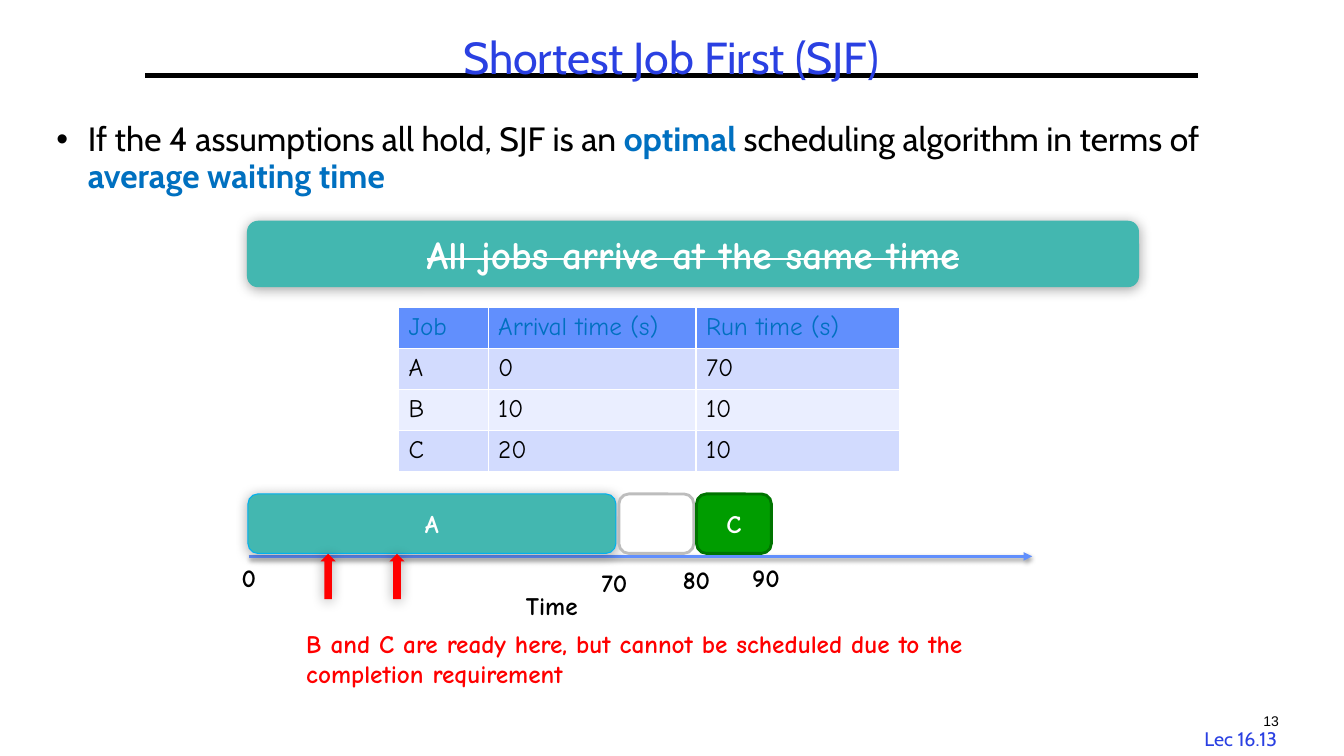
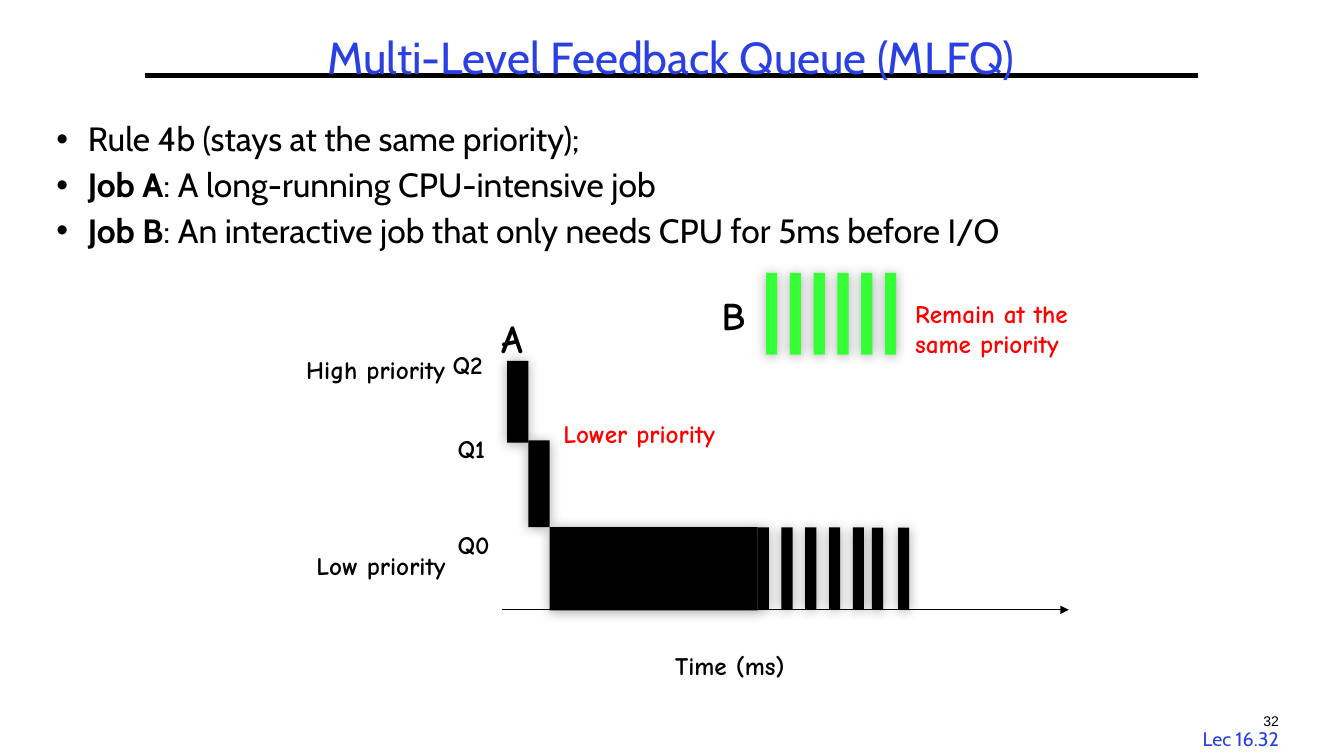
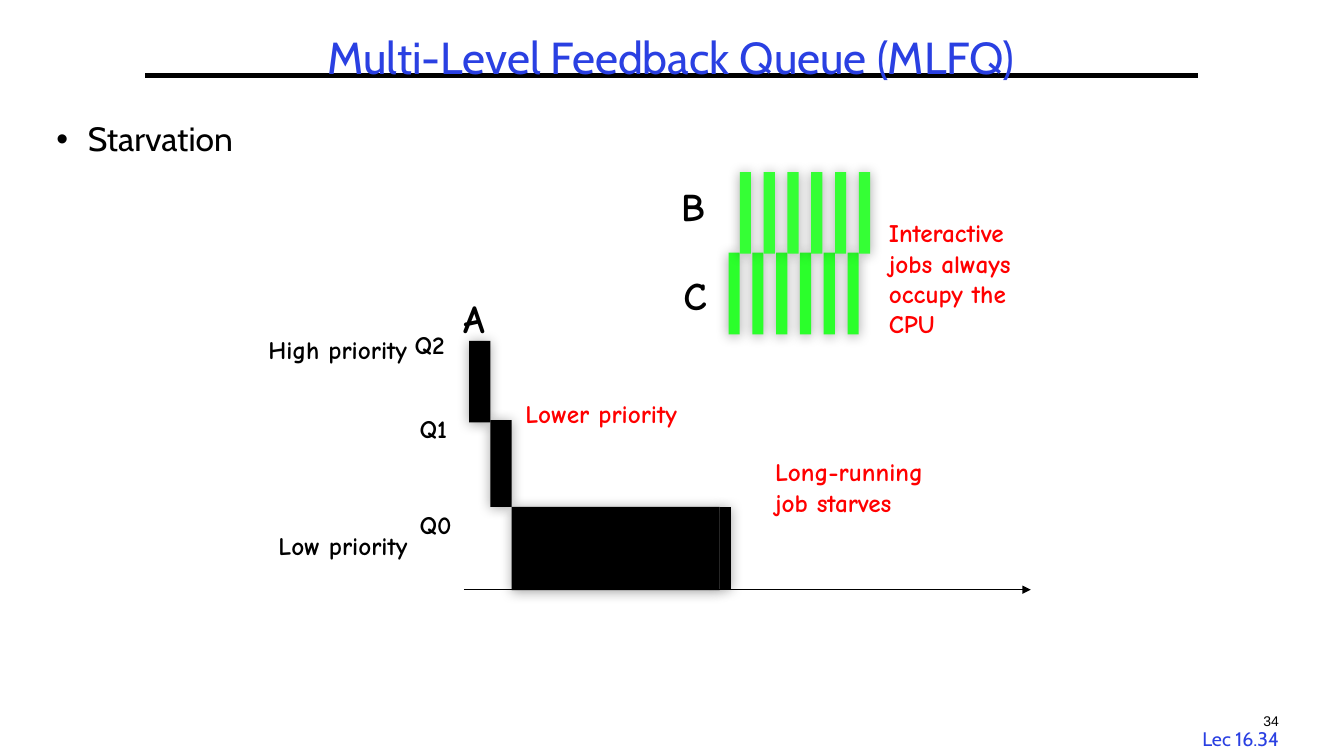
from dataclasses import dataclass
from typing import Optional

import lxml.etree
import pptx
import pptx.dml.color
import pptx.enum.shapes
import pptx.enum.text
import pptx.oxml.ns
import pptx.util

Pt = pptx.util.Pt
qn = pptx.oxml.ns.qn
SHAPE = pptx.enum.shapes.MSO_SHAPE
ALIGN = pptx.enum.text.PP_ALIGN
ANCHOR = pptx.enum.text.MSO_ANCHOR
FIT = pptx.enum.text.MSO_AUTO_SIZE

COLORS = {
    "black": "000000", "white": "FFFFFF", "title": "2A40E2", "accent": "0070C0",
    "red": "FF0000", "teal": "43B7B0", "cyan": "00B0F0", "gray": "BDBDBD",
    "green": "009D00", "dark green": "007400", "lime": "35FF35", "bright lime": "2BFF2B",
    "header": "618FFD", "odd row": "D2DBFE", "even row": "EAEEFF",
}
HEADING_FONT = "Cabin"
SKETCH_FONT = "Comic Neue"
BURST_STEP, BURST_WIDTH, BURST_HEIGHT = 17, 8, 58.3


@dataclass(frozen=True)
class Label:
    text: str
    left: float
    top: float
    width: float
    height: float = 28.8
    size: float = 18
    color: str = "black"
    wrap: bool = False
    font: str = SKETCH_FONT
    bold: bool = True
    centered: bool = False


@dataclass(frozen=True)
class Block:
    left: float
    top: float
    width: float
    height: float
    fill: str = "black"
    kind: SHAPE = SHAPE.RECTANGLE
    line: Optional[str] = None
    line_width: float = 2
    shadow: bool = True
    text: str = ""
    size: float = 18
    strike: bool = False


@dataclass(frozen=True)
class Span:
    text: str
    bold: bool = False
    color: str = "black"


@dataclass(frozen=True)
class Shadow:
    opacity: int
    blur: float
    distance: float


BLOCK_SHADOW = Shadow(35, 9, 1)
AXIS_SHADOW = Shadow(38, 3.1, 1.6)


def rgb(name: str) -> pptx.dml.color.RGBColor:
    return pptx.dml.color.RGBColor.from_string(COLORS[name])


def style_run(run, font: str, size: float, color: str, bold: bool = False) -> None:
    run.font.name = font
    run.font.size = Pt(size)
    run.font.bold = bold
    run.font.color.rgb = rgb(color)


def cast_shadow(effects, shadow: Shadow) -> None:
    """Put a downward shadow into an a:effectLst element."""
    outer = lxml.etree.SubElement(
        effects, qn("a:outerShdw"), blurRad=str(Pt(shadow.blur)),
        dist=str(Pt(shadow.distance)), dir="5400000", rotWithShape="0")
    tint = lxml.etree.SubElement(outer, qn("a:srgbClr"), val=COLORS["black"])
    lxml.etree.SubElement(tint, qn("a:alpha"), val=str(shadow.opacity * 1000))


def add_label(slide, label: Label, dx: float = 0, dy: float = 0) -> None:
    box = slide.shapes.add_textbox(Pt(label.left + dx), Pt(label.top + dy),
                                   Pt(label.width), Pt(label.height))
    frame = box.text_frame
    frame.text = label.text
    frame.word_wrap = label.wrap
    frame.auto_size = FIT.SHAPE_TO_FIT_TEXT
    paragraph = frame.paragraphs[0]
    paragraph.alignment = ALIGN.CENTER if label.centered else ALIGN.LEFT
    style_run(paragraph.runs[0], label.font, label.size, label.color, label.bold)


def add_block(slide, block: Block, dx: float = 0, dy: float = 0) -> None:
    shape = slide.shapes.add_shape(block.kind, Pt(block.left + dx), Pt(block.top + dy),
                                   Pt(block.width), Pt(block.height))
    shape.fill.solid()
    shape.fill.fore_color.rgb = rgb(block.fill)
    if block.line:
        shape.line.color.rgb = rgb(block.line)
        shape.line.width = Pt(block.line_width)
    else:
        shape.line.fill.background()
    shape.shadow.inherit = False
    if block.shadow:
        cast_shadow(shape.element.spPr.find(qn("a:effectLst")), BLOCK_SHADOW)
    if block.text:
        frame = shape.text_frame
        frame.text = block.text
        frame.vertical_anchor = ANCHOR.MIDDLE
        paragraph = frame.paragraphs[0]
        paragraph.alignment = ALIGN.CENTER
        run = paragraph.runs[0]
        style_run(run, SKETCH_FONT, block.size, "white", True)
        if block.strike:
            run.font._element.set("strike", "sngStrike")


def add_line(slide, start: float, end: float, y: float, color: str, width: float,
             arrow: bool = True, shadow: Optional[Shadow] = None):
    """Draw a horizontal line, by default with an arrowhead at its right end."""
    line = slide.shapes.add_connector(pptx.enum.shapes.MSO_CONNECTOR.STRAIGHT,
                                      Pt(start), Pt(y), Pt(end), Pt(y))
    line.line.color.rgb = rgb(color)
    line.line.width = Pt(width)
    properties = line.element.spPr
    if arrow:
        lxml.etree.SubElement(properties.find(qn("a:ln")), qn("a:tailEnd"), type="triangle")
    effects = lxml.etree.SubElement(properties, qn("a:effectLst"))
    if shadow:
        cast_shadow(effects, shadow)
    return line


def place(placeholder, left: float, top: float, width: float, height: float):
    placeholder.left, placeholder.top = Pt(left), Pt(top)
    placeholder.width, placeholder.height = Pt(width), Pt(height)
    placeholder.text_frame.auto_size = FIT.NONE
    return placeholder.text_frame


def add_bullet(paragraph, spans: list[Span], space_before: float) -> None:
    properties = paragraph._p.get_or_add_pPr()
    properties.set("marL", str(Pt(22.5)))
    properties.set("indent", str(Pt(-22.5)))
    lxml.etree.SubElement(properties, qn("a:buFont"), typeface="Arial")
    lxml.etree.SubElement(properties, qn("a:buChar"), char="•")
    paragraph.line_spacing = 0.9
    paragraph.space_before = Pt(space_before)
    for span in spans:
        run = paragraph.add_run()
        run.text = span.text
        style_run(run, HEADING_FONT, 24, span.color, span.bold)


def add_lecture_slide(deck, title: str, number: int, bullets: list[list[Span]]):
    """Add a slide with the shared title, rule, bullets and page numbers."""
    slide = deck.slides.add_slide(deck.slide_layouts[1])
    rule = add_line(slide, 103.7, 856, 54, "black", 3, arrow=False)
    slide.shapes.element.insert(2, rule.element)  # behind the title

    heading = place(slide.shapes.title, 33, 21.6, 893, 41.8)
    heading.text = title
    heading.vertical_anchor = ANCHOR.MIDDLE
    paragraph = heading.paragraphs[0]
    paragraph.alignment = ALIGN.CENTER
    paragraph.line_spacing = 0.9
    style_run(paragraph.runs[0], HEADING_FONT, 32, "title")

    body = place(slide.placeholders[1], 33, 84.2, 893, 404.6)
    for index, spans in enumerate(bullets):
        paragraph = body.add_paragraph() if index else body.paragraphs[0]
        add_bullet(paragraph, spans, 6.7 if index else 0)

    add_label(slide, Label(f"Lec 16.{number}", 847.4, 515.5, 77.8, 23.8, 14, "title",
                           font=HEADING_FONT, bold=False, centered=True))
    add_label(slide, Label(str(number), 889.9, 505.4, 36, size=10, wrap=True,
                           font="Arial", bold=False, centered=True))
    return slide


def add_job_table(slide) -> None:
    rows = [("Job", "Arrival time (s)", "Run time (s)"),
            ("A", "0", "70"), ("B", "10", "10"), ("C", "20", "10")]
    widths = (64.1, 148.5, 145.4)
    row_height = 29.2
    jobs = slide.shapes.add_table(len(rows), len(widths), Pt(284.6), Pt(219.8),
                                  Pt(sum(widths)), Pt(row_height * len(rows))).table
    for column, width in zip(jobs.columns, widths):
        column.width = Pt(width)
    for r, texts in enumerate(rows):
        jobs.rows[r].height = Pt(row_height)
        fill = "header" if r == 0 else "odd row" if r % 2 else "even row"
        for c, text in enumerate(texts):
            cell = jobs.cell(r, c)
            cell.text = text
            style_run(cell.text_frame.paragraphs[0].runs[0], SKETCH_FONT, 18,
                      "black" if r else "accent")
            properties = cell._tc.get_or_add_tcPr()
            for side in ("a:lnL", "a:lnR", "a:lnT", "a:lnB"):
                border = lxml.etree.SubElement(properties, qn(side), w=str(Pt(1)))
                solid = lxml.etree.SubElement(border, qn("a:solidFill"))
                lxml.etree.SubElement(solid, qn("a:srgbClr"), val=COLORS["white"])
            cell.fill.solid()
            cell.fill.fore_color.rgb = rgb(fill)


def add_bursts(slide, left: float, top: float, count: int, fill: str) -> None:
    """Draw equally spaced short CPU bursts."""
    for index in range(count):
        add_block(slide, Block(left + index * BURST_STEP, top, BURST_WIDTH, BURST_HEIGHT, fill))


def add_queues(slide, dx: float = 0, dy: float = 0) -> None:
    """Draw the three queues with job A sinking through them."""
    for label in (
        Label("High priority", 211.7, 249.8, 126.7),
        Label("Low priority", 218.9, 389.5, 120.2),
        Label("Lower priority", 395.3, 295.2, 139, color="red"),
        Label("A", 350.8, 221, 35.3, 41, 28),
        Label("Q0", 319.8, 374.4, 41.8),
        Label("Q1", 319.8, 306, 41.8),
        Label("Q2", 316.2, 246.2, 41.8),
    ):
        add_label(slide, label, dx, dy)
    add_line(slide, 358.5 + dx, 763.4 + dx, 435.6 + dy, "black", 0.75)
    for step in (
        Block(362.2, 257.8, 15.2, 58.3),
        Block(377.4, 314.6, 15.2, 61.9),
        Block(392.6, 376.5, 148.5, 59.5),
        Block(541.2, 376.7, BURST_WIDTH, BURST_HEIGHT),
    ):
        add_block(slide, step, dx, dy)


def build_sjf(deck) -> None:
    slide = add_lecture_slide(deck, "Shortest Job First (SJF)", 13, [[
        Span("If the 4 assumptions all hold, SJF is an "),
        Span("optimal ", True, "accent"),
        Span("scheduling algorithm in terms of "),
        Span("average waiting time", True, "accent"),
    ]])
    add_block(slide, Block(176.4, 157.7, 637.2, 47.5, "teal", SHAPE.ROUNDED_RECTANGLE,
                           text="All jobs arrive at the same time", size=28, strike=True))
    add_job_table(slide)

    add_line(slide, 177.8, 737.3, 397.4, "header", 2, shadow=AXIS_SHADOW)
    for left, width, fill, line, line_width, job in (
        (177.1, 262.8, "teal", "cyan", 0.75, "A"),
        (442.1, 53.5, "white", "gray", 2, ""),
        (497.5, 53.5, "green", "dark green", 2, "C"),
    ):
        add_block(slide, Block(left, 352.8, width, 42.5, fill, SHAPE.ROUNDED_RECTANGLE,
                               line, line_width, shadow=job == "A", text=job))
    for label in (
        Label("Time", 368.6, 418.3, 56.9),
        Label("0", 165.6, 398.2, 25.9),
        Label("70", 422.6, 401.8, 36.7),
        Label("80", 480.6, 399.2, 36.7),
        Label("90", 530.2, 398.2, 36.7),
        Label("B and C are ready here, but cannot be scheduled due to the "
              "completion requirement", 211.7, 445, 568, 51, color="red", wrap=True),
    ):
        add_label(slide, label)
    for arrival in (229, 278.2):
        add_block(slide, Block(arrival, 395.6, 10.8, 32.4, "red", SHAPE.UP_ARROW))


def build_same_priority(deck) -> None:
    slide = add_lecture_slide(deck, "Multi-Level Feedback Queue (MLFQ)", 32, [
        [Span("Rule 4b (stays at the same priority);")],
        [Span("Job A", True), Span(": A long-running CPU-intensive job")],
        [Span("Job B", True),
         Span(": An interactive job that only needs CPU for 5ms before I/O")],
    ])
    add_queues(slide)
    add_bursts(slide, 547.2, 195, 6, "lime")
    add_bursts(slide, 541.2 + BURST_STEP, 376.7, 4, "black")
    for left in (622.8, 641.5):
        add_bursts(slide, left, 376.9, 1, "black")
    add_label(slide, Label("Time (ms)", 475.2, 460.8, 100.8))
    add_label(slide, Label("B", 508.3, 204.5, 32.4, 41, 28))
    add_label(slide, Label("Remain at the same priority", 646.6, 209.5, 133.2, 72.7,
                           color="red", wrap=True))


def build_starvation(deck) -> None:
    slide = add_lecture_slide(deck, "Multi-Level Feedback Queue (MLFQ)", 34,
                              [[Span("Starvation")]])
    add_queues(slide, -27.1, -14.4)
    add_bursts(slide, 520.4, 180.5, 6, "bright lime")
    add_bursts(slide, 528.5, 122.9, 6, "lime")
    for label in (
        Label("B", 479.5, 126.7, 32.4, 41, 28),
        Label("C", 481, 190.1, 32.4, 41, 28),
        Label("Interactive jobs always occupy the CPU", 627.8, 151.9, 133.2, 94.3,
              color="red", wrap=True),
        Label("Long-running job starves", 546.5, 322.6, 133.2, 51, color="red", wrap=True),
    ):
        add_label(slide, label)


def main() -> None:
    deck = pptx.Presentation()
    deck.slide_width, deck.slide_height = Pt(960), Pt(540)
    build_sjf(deck)
    build_same_priority(deck)
    build_starvation(deck)
    deck.save("out.pptx")


if __name__ == "__main__":
    main()
